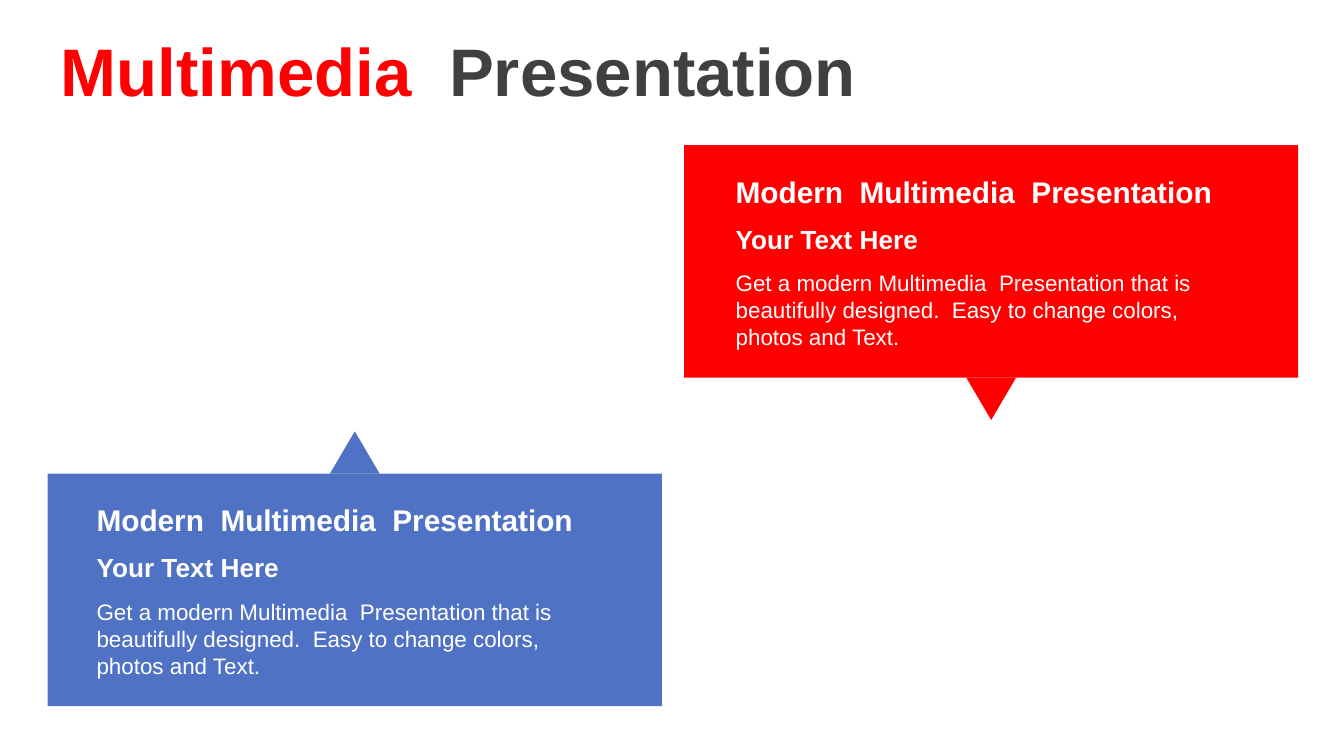
from dataclasses import dataclass

from pptx import Presentation
from pptx.dml.color import RGBColor
from pptx.enum.shapes import MSO_SHAPE
from pptx.enum.text import MSO_ANCHOR
from pptx.util import Emu, Pt

PX = 4572  # 200 px to the inch
FONT = "Arial"
RED, BLUE, GRAY, WHITE = "FF0000", "5072C4", "404040", "FFFFFF"
BOX_W, BOX_H = 914, 346
POINTER_W, POINTER_H = 74, 63
TEXT_W = 804


@dataclass
class Line:
    text: str
    dy: int
    height: int
    size: int
    bold: bool


@dataclass
class Callout:
    x: int
    y: int
    text_x: int
    color: str
    points_up: bool


LINES = [
    Line("Modern  Multimedia  Presentation", 32, 74, 16, True),
    Line("Your Text Here", 106, 68, 14, True),
    Line("Get a modern Multimedia  Presentation that is beautifully designed.  "
         "Easy to change colors, photos and Text.", 175, 142, 12, False),
]
CALLOUTS = [
    Callout(71, 705, 124, BLUE, True),
    Callout(1018, 216, 1075, RED, False),
]


def px(n: int) -> Emu:
    return Emu(n * PX)


def rgb(color: str) -> RGBColor:
    return RGBColor.from_string(color)


def add_block(s, kind, x: int, y: int, w: int, h: int, color: str):
    sp = s.shapes.add_shape(kind, px(x), px(y), px(w), px(h))
    sp.shadow.inherit = False
    sp.fill.solid()
    sp.fill.fore_color.rgb = rgb(color)
    sp.line.fill.background()
    return sp


def add_text(s, x: int, y: int, w: int, h: int, runs: list[tuple[str, str]],
             size: int, bold: bool, anchor=MSO_ANCHOR.TOP) -> None:
    tf = s.shapes.add_textbox(px(x), px(y), px(w), px(h)).text_frame
    tf.word_wrap = True
    tf.vertical_anchor = anchor
    p = tf.paragraphs[0]
    p.font.name, p.font.size, p.font.bold = FONT, Pt(size), bold
    for text, color in runs:
        r = p.add_run()
        r.text = text
        r.font.color.rgb = rgb(color)


def add_callout(s, c: Callout) -> None:
    # Pointer centred on the top or bottom edge
    pointer_y = c.y - POINTER_H if c.points_up else c.y + BOX_H
    pointer = add_block(s, MSO_SHAPE.ISOSCELES_TRIANGLE, c.x + (BOX_W - POINTER_W) // 2,
                        pointer_y, POINTER_W, POINTER_H, c.color)
    pointer.rotation = 0 if c.points_up else 180
    add_block(s, MSO_SHAPE.RECTANGLE, c.x, c.y, BOX_W, BOX_H, c.color)
    for line in LINES:
        add_text(s, c.text_x, c.y + line.dy, TEXT_W, line.height,
                 [(line.text, WHITE)], line.size, line.bold)


def main() -> None:
    prs = Presentation()
    prs.slide_width, prs.slide_height = px(2000), px(1125)
    s = prs.slides.add_slide(prs.slide_layouts[6])

    # Title
    add_text(s, 71, 40, 1929, 126, [("Multimedia", RED), ("  Presentation", GRAY)],
             36, True, MSO_ANCHOR.MIDDLE)

    # Callouts
    for callout in CALLOUTS:
        add_callout(s, callout)

    prs.save("out.pptx")


if __name__ == "__main__":
    main()
